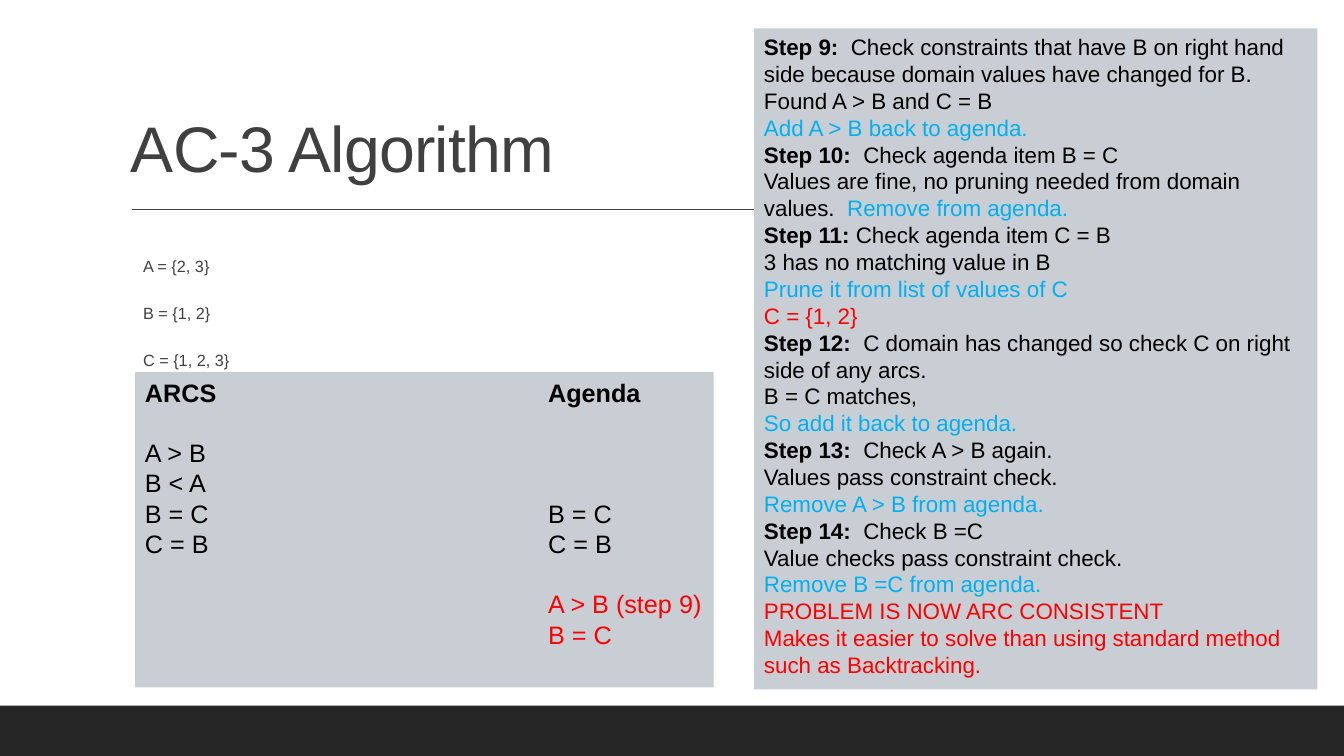
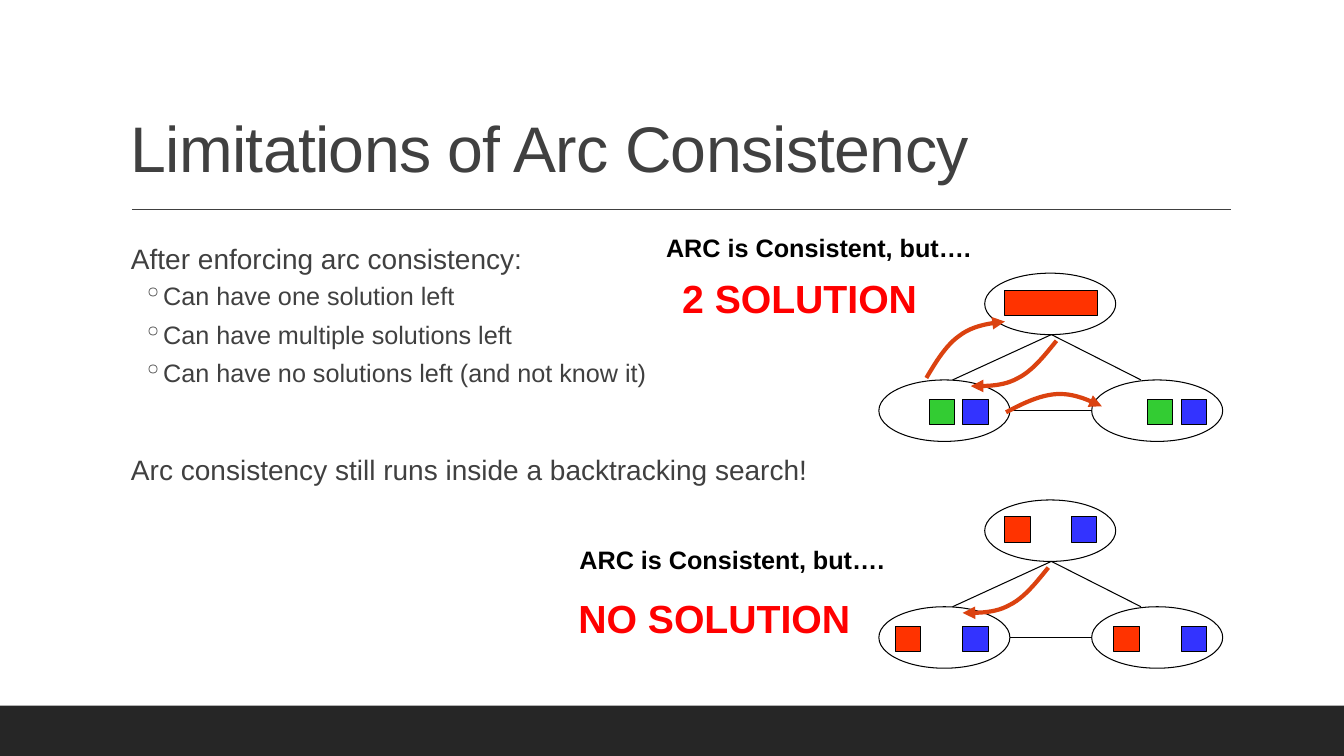
from pptx import Presentation
from pptx.dml.color import RGBColor
from pptx.enum.shapes import MSO_CONNECTOR, MSO_SHAPE
from pptx.enum.text import MSO_ANCHOR, PP_ALIGN
from pptx.oxml.ns import qn
from pptx.util import Pt
from lxml.etree import SubElement

FONT = "Arial"
COLORS = {
    "text": "404040", "band": "262626", "panel": "C8CED4", "black": "000000",
    "agenda": "00B0F0", "alert": "FF0000", "arrow": "DB4210",
    "red": "FF3300", "green": "33CC33", "blue": "3333FF",
}
STEP = {"bold": True}
AGENDA = {"color": "agenda"}
ALERT = {"color": "alert"}

STEPS = [
    [("Step 9:", STEP), ("  Check constraints that have B on right hand side "
                         "because domain values have changed for B.", {})],
    [("Found A > B and C = B", {})],
    [("Add A > B back to agenda.", AGENDA)],
    [("Step 10:  ", STEP), ("Check agenda item B = C", {})],
    [("Values are fine, no pruning needed from domain values.  ", {}),
     ("Remove from agenda.", AGENDA)],
    [("Step 11: ", STEP), ("Check agenda item C = B", {})],
    [("3 has no matching value in B", {})],
    [("Prune it from list of values of C", AGENDA)],
    [("C = {1, 2}", ALERT)],
    [("Step 12:  ", STEP),
     ("C domain has changed so check C on right side of any arcs.", {})],
    [("B = C matches,", {})],
    [("So add it back to agenda.", AGENDA)],
    [("Step 13:  ", STEP), ("Check A > B again.", {})],
    [("Values pass constraint check.", {})],
    [("Remove A > B from agenda.", AGENDA)],
    [("Step 14:  ", STEP), ("Check B =C", {})],
    [("Value checks pass constraint check.", {})],
    [("Remove B =C from agenda.", AGENDA)],
    [("PROBLEM IS NOW ARC CONSISTENT", ALERT)],
    [("Makes it easier to solve than using standard method such as "
      "Backtracking.", ALERT)],
]

# Text, space before, extra format
ARC_ROWS = [
    ("ARCS\tAgenda", 0, STEP),
    ("A > B", 21.6, {}),
    ("B < A", 0, {}),
    ("B = C\tB = C", 0, {}),
    ("C = B\tC = B", 0, {}),
    ("\tA > B (step 9)", 21.6, ALERT),
    ("\tB = C", 0, ALERT),
]

# Constraint graph: x on the slide, y from the top of the graph
NODE_W, NODE_H, NODE_ROW = 93.6, 43.9, 76.3
NODES = [(703.4, 0), (779.8, NODE_ROW), (627.8, NODE_ROW)]
EDGES = [
    ((751, NODE_H), (680.4, NODE_ROW)),
    ((751, NODE_H), (815, NODE_ROW)),
    ((721.4, 98.3), (779.8, 98.3)),
]
TOP_VALUE_Y, LOW_VALUE_Y, VALUE_SIZE = 12.2, 90.1, 18.2

# Chained cubic curves: start, then two controls and an end for each
TOP_TO_LEFT = [(754.6, 48.3), (745.9, 59.1), (737.3, 69.9), (727.2, 74.9),
               (717.1, 80.7), (705.6, 80.7), (693.4, 80.7)]
LEFT_TO_TOP = [(661.7, 74.9), (668.9, 62.7), (676.1, 51.1), (685.4, 44.7),
               (694.8, 37.5), (706.3, 36), (717.8, 34.6)]
LEFT_TO_RIGHT = [(718.6, 99.4), (730.8, 92.9), (743, 87.1), (754.6, 86.4),
                 (766.1, 85.7), (776.2, 90), (787, 95.1)]


def rgb(name):
    return RGBColor.from_string(COLORS[name])


def add_text(box, text, *, size=18, color="black", bold=False, spacing=None,
             before=0, after=0, left=0, bullet=None, tab=None,
             tracking=None, baseline=None):
    """Add a paragraph; text is a string or a list of (string, format) spans."""
    frame = box.text_frame
    para = frame.paragraphs[0]
    if para.runs:
        para = frame.add_paragraph()
    para.alignment = PP_ALIGN.LEFT
    para.line_spacing = spacing
    para.space_before, para.space_after = Pt(before), Pt(after)
    properties = para._p.get_or_add_pPr()
    properties.set("marL", str(Pt(left)))
    if bullet:
        properties.set("indent", str(-Pt(14.4)))
        SubElement(properties, qn("a:buChar"), char=bullet)
    if tab:
        stops = SubElement(properties, qn("a:tabLst"))
        SubElement(stops, qn("a:tab"), pos=str(Pt(tab)), algn="l")
    for words, style in [(text, {})] if isinstance(text, str) else text:
        span = para.add_run()
        span.text = words
        span.font.name, span.font.size = FONT, Pt(size)
        span.font.bold = style.get("bold", bold)
        span.font.color.rgb = rgb(style.get("color", color))
        for key, value in (("spc", tracking), ("baseline", baseline)):
            if value is not None:
                span.font._element.set(key, str(value))


def add_box(page, x, y, width, height, *, wrap=True, side=7.2,
            anchor=MSO_ANCHOR.TOP):
    box = page.shapes.add_textbox(Pt(x), Pt(y), Pt(width), Pt(height))
    frame = box.text_frame
    frame.word_wrap, frame.vertical_anchor = wrap, anchor
    frame.margin_left = frame.margin_right = Pt(side)
    return box


def add_shape(page, kind, x, y, width, height, fill=None, line=None):
    shape = page.shapes.add_shape(kind, Pt(x), Pt(y), Pt(width), Pt(height))
    shape.shadow.inherit = False
    if fill:
        shape.fill.solid()
        shape.fill.fore_color.rgb = rgb(fill)
    else:
        shape.fill.background()
    if line:
        shape.line.color.rgb, shape.line.width = rgb(line), Pt(0.75)
    else:
        shape.line.fill.background()
    return shape


def add_panel(page, x, y, width, height):
    panel = add_shape(page, MSO_SHAPE.RECTANGLE, x, y, width, height, "panel")
    panel.text_frame.word_wrap = True
    panel.text_frame.vertical_anchor = MSO_ANCHOR.TOP
    return panel


def add_line(page, start, end, color="black", width=0.75):
    line = page.shapes.add_connector(
        MSO_CONNECTOR.STRAIGHT, *(Pt(value) for value in (*start, *end)))
    line.line.color.rgb, line.line.width = rgb(color), Pt(width)
    SubElement(line._element.spPr, qn("a:effectLst"))


def curve_points(controls, steps=12):
    points = [controls[0]]
    for first in range(0, len(controls) - 1, 3):
        a, b, c, d = controls[first:first + 4]
        for step in range(1, steps + 1):
            t = step / steps
            u = 1 - t
            points.append(tuple(
                u**3 * a[i] + 3 * u * u * t * b[i] + 3 * u * t * t * c[i]
                + t**3 * d[i] for i in (0, 1)))
    return points


def add_curved_arrow(page, controls, top, shift=0):
    points = [(Pt(x + shift), Pt(y + top)) for x, y in curve_points(controls)]
    builder = page.shapes.build_freeform(*points[0])
    builder.add_line_segments(points[1:], close=False)
    arrow = builder.convert_to_shape()
    arrow.shadow.inherit = False
    arrow.fill.background()
    arrow.line.color.rgb, arrow.line.width = rgb("arrow"), Pt(3)
    SubElement(arrow.line._get_or_add_ln(), qn("a:tailEnd"), type="triangle")


def add_graph(page, top, top_values, low_values):
    """Draw three linked nodes; values are (x, width, color)."""
    for x, y in NODES:
        add_shape(page, MSO_SHAPE.OVAL, x, top + y, NODE_W, NODE_H,
                  line="black")
    for (x1, y1), (x2, y2) in EDGES:
        add_line(page, (x1, top + y1), (x2, top + y2))
    for y, values in ((TOP_VALUE_Y, top_values), (LOW_VALUE_Y, low_values)):
        for x, width, color in values:
            add_shape(page, MSO_SHAPE.RECTANGLE, x, top + y, width,
                      VALUE_SIZE, color, "black")


def add_label(page, x, y, text, **style):
    box = add_box(page, x, y, 235, 28.8, wrap=False)
    add_text(box, text, bold=True, **style)


def add_page(deck, title):
    page = deck.slides.add_slide(deck.slide_layouts[6])
    add_shape(page, MSO_SHAPE.RECTANGLE, 0, 504, 960, 36, "band")
    add_line(page, (94.3, 149.8), (879.1, 149.8), "text", 1)
    box = add_box(page, 86.4, 22.3, 792, 114.5, anchor=MSO_ANCHOR.BOTTOM)
    add_text(box, title, size=46, color="text", spacing=0.9, tracking=-50)
    return page


def add_algorithm_page(deck):
    page = add_page(deck, "AC-3 Algorithm")
    domains = add_box(page, 86.4, 166.3, 393.8, 296, side=0)
    for text in ("A = {2, 3}", "B = {1, 2}", "C = {1, 2, 3}"):
        add_text(domains, text, size=20, color="text", left=15.8, before=2,
                 after=4, baseline=-25000)
    steps = add_panel(page, 538.6, 20.2, 402.5, 472.3)
    for spans in STEPS:
        add_text(steps, spans, size=16, spacing=Pt(19.2))
    arcs = add_panel(page, 96.5, 265.7, 413.3, 225.4)
    for text, before, style in ARC_ROWS:
        add_text(arcs, text, before=before, spacing=Pt(21.6), tab=288, **style)


def add_limitations_page(deck):
    page = add_page(deck, "Limitations of Arc Consistency")
    body = add_box(page, 86.4, 166.3, 504, 296, side=0)
    main_point = dict(size=20, color="text", spacing=1.1, left=7.2, after=2)
    add_text(body, "After enforcing arc consistency:", before=12, **main_point)
    for text in ("Can have one solution left", "Can have multiple solutions left",
                 "Can have no solutions left (and not know it)"):
        add_text(body, text, color="text", spacing=Pt(21.6), before=2, after=4,
                 left=30.2, bullet="◦")
    add_text(body, "Arc consistency still runs inside a backtracking search!",
             before=39.6, **main_point)

    upper, lower = 195.1, 357.1
    size = VALUE_SIZE
    add_graph(page, upper, [(717.8, 66.2, "red")],
              [(663.8, size, "green"), (687.6, size, "blue"),
               (819.4, size, "green"), (843.8, size, "blue")])
    add_graph(page, lower, [(717.8, size, "red"), (765.4, size, "blue")],
              [(639.4, size, "red"), (687.6, size, "blue"),
               (795.6, size, "red"), (843.8, size, "blue")])
    for controls in (TOP_TO_LEFT, LEFT_TO_TOP, LEFT_TO_RIGHT):
        add_curved_arrow(page, controls, upper)
    add_curved_arrow(page, TOP_TO_LEFT, lower, shift=-5.8)

    for x, y, verdict_x, verdict_y, verdict in (
            (468.7, 162.7, 480.2, 192.2, "2 SOLUTION"),
            (406.8, 385.2, 406.1, 421.2, "NO SOLUTION")):
        add_label(page, x, y, "ARC is Consistent, but….")
        add_label(page, verdict_x, verdict_y, verdict, size=28, color="alert")


def main():
    deck = Presentation()
    deck.slide_width, deck.slide_height = Pt(960), Pt(540)
    add_algorithm_page(deck)
    add_limitations_page(deck)
    deck.save("out.pptx")


if __name__ == "__main__":
    main()
